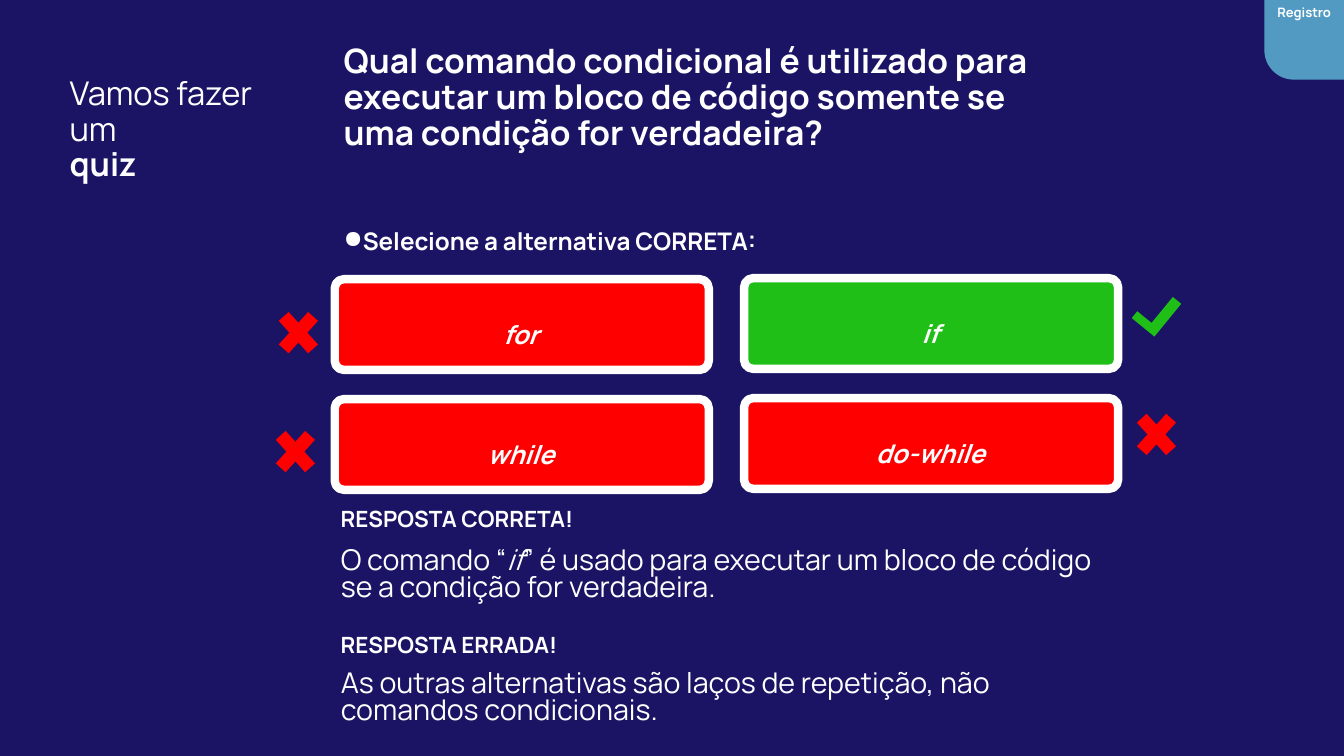
from pptx import Presentation
from pptx.dml.color import RGBColor
from pptx.enum.shapes import MSO_SHAPE
from pptx.enum.text import PP_ALIGN
from pptx.oxml.ns import qn
from pptx.util import Inches, Pt
from lxml import etree

NAVY = RGBColor(0x1B, 0x14, 0x64)
WHITE = RGBColor(0xFF, 0xFF, 0xFF)
RED = RGBColor(0xFF, 0x00, 0x00)
GREEN = RGBColor(0x1F, 0xBF, 0x17)
BLUE = RGBColor(0x52, 0x9A, 0xC2)
FONT = "Manrope"
LEFT, CENTER = PP_ALIGN.LEFT, PP_ALIGN.CENTER
CARD = MSO_SHAPE.ROUNDED_RECTANGLE
CROSS = MSO_SHAPE.MATH_MULTIPLY
CHECK = MSO_SHAPE.CORNER
TAB = MSO_SHAPE.ROUND_1_RECTANGLE

WIDE, HIGH = 13.33, 7.5
MAIN = 3.31          # left edge of the main column
THIN, BROAD = (0.07, 0.03), (0.1, 0.05)

# Word, correct or not, left and top of its mark within the card
OPTIONS = [
    ("for", False, -0.64, 0.22), ("if", True, 3.88, 0.18),
    ("while", False, -0.67, 0.21), ("do-while", False, 3.81, 0.05),
]


def add_form(slide, kind, box, fill, adjust, turn=0):
    form = slide.shapes.add_shape(kind, *map(Inches, box))
    form.shadow.inherit = False
    form.fill.solid()
    form.fill.fore_color.rgb = fill
    form.line.fill.background()
    for i, value in enumerate(adjust):
        form.adjustments[i] = value
    form.rotation = turn
    return form


def add_text(slide, box, lines, size, bold=None, italic=None, align=LEFT,
             pad=(0, 0), lead=0.9, before=0):
    """Each line is a list of (text, run font settings) pairs."""
    frame = slide.shapes.add_textbox(*map(Inches, box)).text_frame
    frame.word_wrap = True
    frame.margin_left = frame.margin_right = Inches(pad[0])
    frame.margin_top = frame.margin_bottom = Inches(pad[1])
    for i, line in enumerate(lines):
        para = frame.add_paragraph() if i else frame.paragraphs[0]
        para.alignment, para.line_spacing = align, lead
        para.space_before = Pt(before)
        font = para.font
        font.name, font.size, font.bold, font.italic = FONT, Pt(size), bold, italic
        font.color.rgb = WHITE
        for text, style in line:
            run = para.add_run()
            run.text = text
            for key, value in style.items():
                setattr(run.font, key, value)
    return frame


def add_bullet(para, mark):
    props = para._p.get_or_add_pPr()
    props.set("marL", "0")
    props.set("indent", "0")
    bullet = etree.Element(qn("a:buChar"), char=mark)
    props.find(qn("a:defRPr")).addprevious(bullet)


def add_tab(slide, x, y, side):
    add_form(slide, TAB, (x, y, side, side), BLUE, [0.37], 180)
    add_text(slide, (x, y, side, 0.22), [[("Registro", {})]], 9.3, bold=True,
             align=CENTER, pad=THIN, lead=1.07)


def add_option(slide, x, y, w, h, word, right, dx, dy):
    card = add_form(slide, CARD, (x, y, w, h), GREEN if right else RED, [0.1])
    card.line.color.rgb = WHITE
    card.line.width = Pt(6)
    add_text(slide, (x + 0.32, y + 0.24, w - 0.66, 0.47), [[(word, {})]], 18.4,
             bold=True, italic=True, align=CENTER, lead=1.5)
    if right:
        add_form(slide, CHECK, (x + dx, y + dy, 0.42, 0.29), GREEN,
                 [0.37, 0.3], 309.3)
    else:
        add_form(slide, CROSS, (x + dx, y + dy, 0.56, 0.62), RED, [0.235])


def add_grid(slide, x, y):
    for i, option in enumerate(OPTIONS):
        row, col = divmod(i, 2)
        add_option(slide, x + 4.06 * col, y + 1.19 * row - 0.01 * col,
                   3.71, 0.9, *option)


def add_reply(slide, x, y, gap, head, body):
    add_text(slide, (x, y, 4.4, 0.27), [[(head, {})]], 16, bold=True, pad=THIN)
    add_text(slide, (x, y + gap, 7.85, 0.75), [body], 20.4, pad=THIN,
             lead=0.8, before=2.5)


def build_quiz(slide):
    fill = slide.background.fill
    fill.solid()
    fill.fore_color.rgb = NAVY

    # Heading and corner tab
    add_text(slide, (0.69, 0.77, 1.88, 1.18),
             [[("Vamos fazer um", {})], [("quiz", {"bold": True})]], 23.3)
    add_tab(slide, WIDE - 0.79, 0, 0.79)

    # Question and instruction
    question = ("Qual comando condicional é utilizado para executar um bloco "
                "de código somente se uma condição for verdadeira?")
    add_text(slide, (MAIN, 0.39, 7.14, 2.11), [[(question, {})]], 24,
             bold=True, pad=BROAD, before=6)
    task = add_text(slide, (MAIN, 2.15, 6.94, 0.6),
                    [[("Selecione a alternativa CORRETA:", {})]], 17.3,
                    bold=True, pad=BROAD, lead=1.15)
    add_bullet(task.paragraphs[0], "●")

    # Options
    add_grid(slide, MAIN + 0.01, 2.77)

    # Replies
    add_reply(slide, MAIN, 5.01, 0.4, "RESPOSTA CORRETA!", [
        ("O comando “", {}), ("if", {"italic": True}),
        ("” é usado para executar um bloco de código se a condição for "
         "verdadeira.", {})])
    add_reply(slide, MAIN, 6.26, 0.37, "RESPOSTA ERRADA!", [
        ("As outras alternativas são laços de repetição, não comandos "
         "condicionais.", {})])


def main():
    deck = Presentation()
    deck.slide_width, deck.slide_height = Inches(WIDE), Inches(HIGH)
    build_quiz(deck.slides.add_slide(deck.slide_layouts[6]))
    deck.save("out.pptx")


if __name__ == "__main__":
    main()
